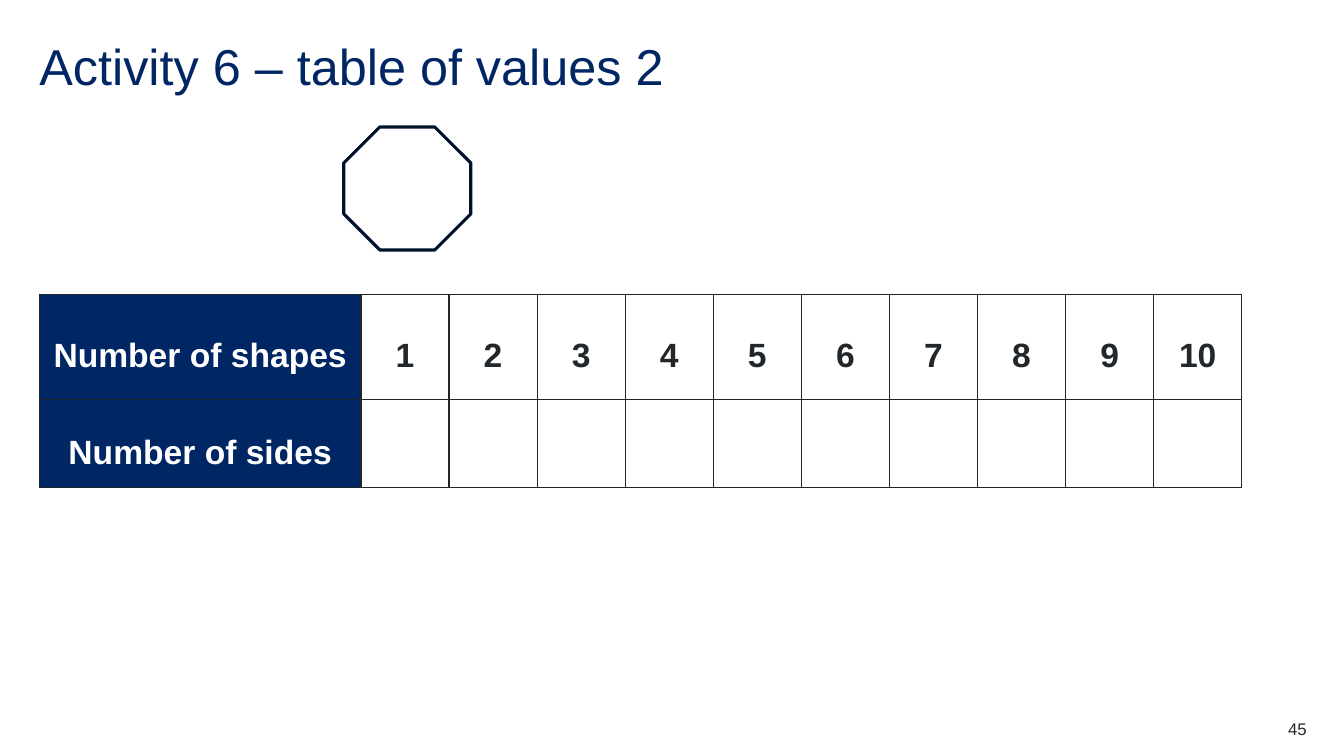
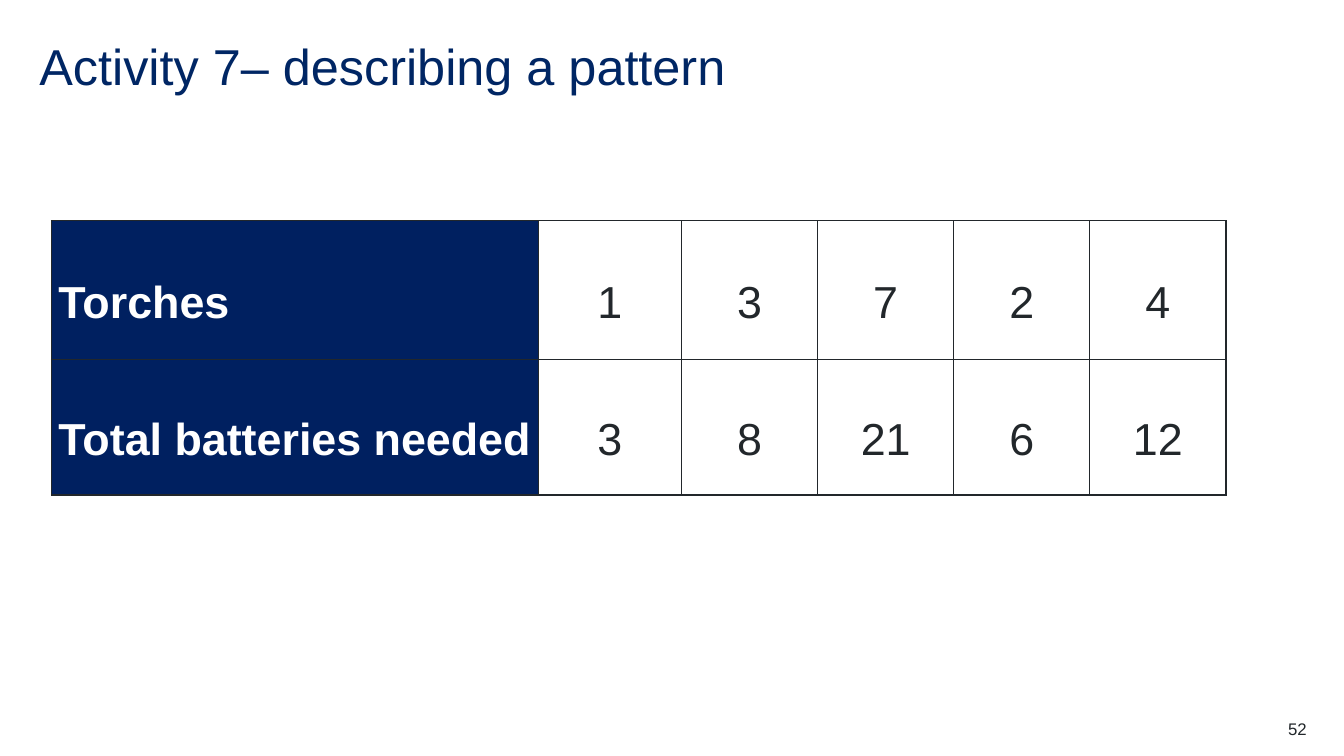
"""Build two activity slides about tables of values."""
from lxml import etree
from pptx import Presentation
from pptx.dml.color import RGBColor
from pptx.enum import shapes, text
from pptx.oxml import ns
from pptx.util import Inches, Pt

NAVY = RGBColor(0x00, 0x26, 0x64)
DEEP = RGBColor(0x00, 0x20, 0x60)
EDGE = RGBColor(0x00, 0x11, 0x2C)
INK = RGBColor(0x22, 0x27, 0x2B)
WHITE = RGBColor(0xFF, 0xFF, 0xFF)
LEFT, MID, RIGHT = text.PP_ALIGN.LEFT, text.PP_ALIGN.CENTER, text.PP_ALIGN.RIGHT


def put(frame, words, size, color, bold=False, align=LEFT, line=1.0, after=0):
    frame.word_wrap = True
    frame.margin_left = frame.margin_right = 0
    frame.margin_top = frame.margin_bottom = 0
    frame.vertical_anchor = text.MSO_ANCHOR.MIDDLE
    para = frame.paragraphs[0]
    para.alignment = align
    para.line_spacing = line
    para.space_before, para.space_after = Pt(0), Pt(after)
    run = para.add_run()
    run.text = words
    run.font.name, run.font.size = "Arial", Pt(size)
    run.font.bold, run.font.color.rgb = bold, color


def frame_cell(cell):
    props = cell._tc.get_or_add_tcPr()
    for side in ("lnL", "lnR", "lnT", "lnB"):
        edge = etree.SubElement(props, ns.qn(f"a:{side}"), w=str(Pt(1)))
        fill = etree.SubElement(edge, ns.qn("a:solidFill"))
        etree.SubElement(fill, ns.qn("a:srgbClr"), val=str(INK))


pages = [
    dict(title="Activity 6 – table of values 2", number="45",
         spot=(0.39, 2.92), cols=[3.19] + [8.74 / 10] * 10, rows=[1.04, 0.88],
         size=24, bold=True, align=MID, fill=NAVY,
         data=[["Number of shapes"] + [str(n) for n in range(1, 11)],
               ["Number of sides"] + [""] * 10]),
    dict(title="Activity 7– describing a pattern", number="52",
         spot=(0.51, 2.19), cols=[4.83, 1.42] + [1.35] * 4, rows=[1.38, 1.34],
         size=32, bold=False, align=LEFT, fill=DEEP,
         data=[["Torches", "1", "3", "7", "2", "4"],
               ["Total batteries needed", "3", "8", "21", "6", "12"]]),
]

deck = Presentation()
deck.slide_width, deck.slide_height = Inches(13.33), Inches(7.5)
slides = []
for page in pages:
    slide = deck.slides.add_slide(deck.slide_layouts[5])
    slides.append(slide)
    title = slide.shapes.title
    title.left, title.top = Inches(0.39), Inches(0.39)
    title.width, title.height = Inches(11.49), Inches(0.6)
    put(title.text_frame, page["title"], 36, NAVY, line=0.9)

    foot = slide.shapes.add_textbox(Inches(12.17), Inches(7.13), Inches(0.79), Inches(0.2))
    put(foot.text_frame, page["number"], 12, INK, align=RIGHT)

    cols, rows, data = page["cols"], page["rows"], page["data"]
    left, top = page["spot"]
    table = slide.shapes.add_table(len(rows), len(cols), Inches(left), Inches(top),
                                   Inches(sum(cols)), Inches(sum(rows))).table
    table.first_row = table.horz_banding = False
    for col, width in zip(table.columns, cols):
        col.width = Inches(width)
    for row, height, line in zip(table.rows, rows, data):
        row.height = Inches(height)
        for i, (cell, words) in enumerate(zip(row.cells, line)):
            head = i == 0
            frame_cell(cell)
            if head:
                cell.fill.solid()
                cell.fill.fore_color.rgb = page["fill"]
            else:
                cell.fill.background()
            if words:
                put(cell.text_frame, words, page["size"], WHITE if head else INK,
                    bold=head or page["bold"], align=page["align"] if head else MID,
                    line=1.5, after=6)
            cell.vertical_anchor = text.MSO_ANCHOR.MIDDLE
            cell.margin_left = cell.margin_right = Inches(0.07)
            cell.margin_top = cell.margin_bottom = 0

octagon = slides[0].shapes.add_shape(shapes.MSO_SHAPE.OCTAGON, Inches(3.41), Inches(1.26),
                                     Inches(1.26), Inches(1.22))
octagon.shadow.inherit = False
octagon.fill.background()
octagon.line.color.rgb, octagon.line.width = EDGE, Pt(2.25)

deck.save("out.pptx")
